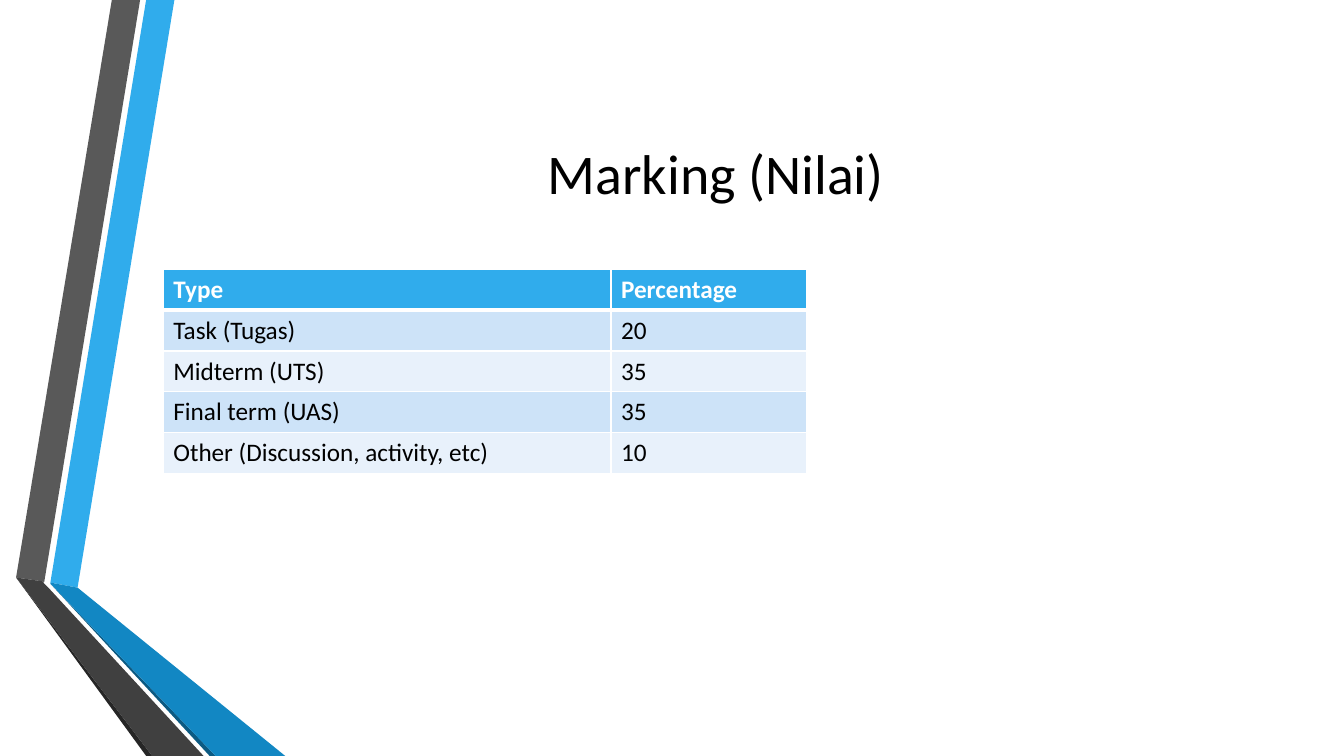
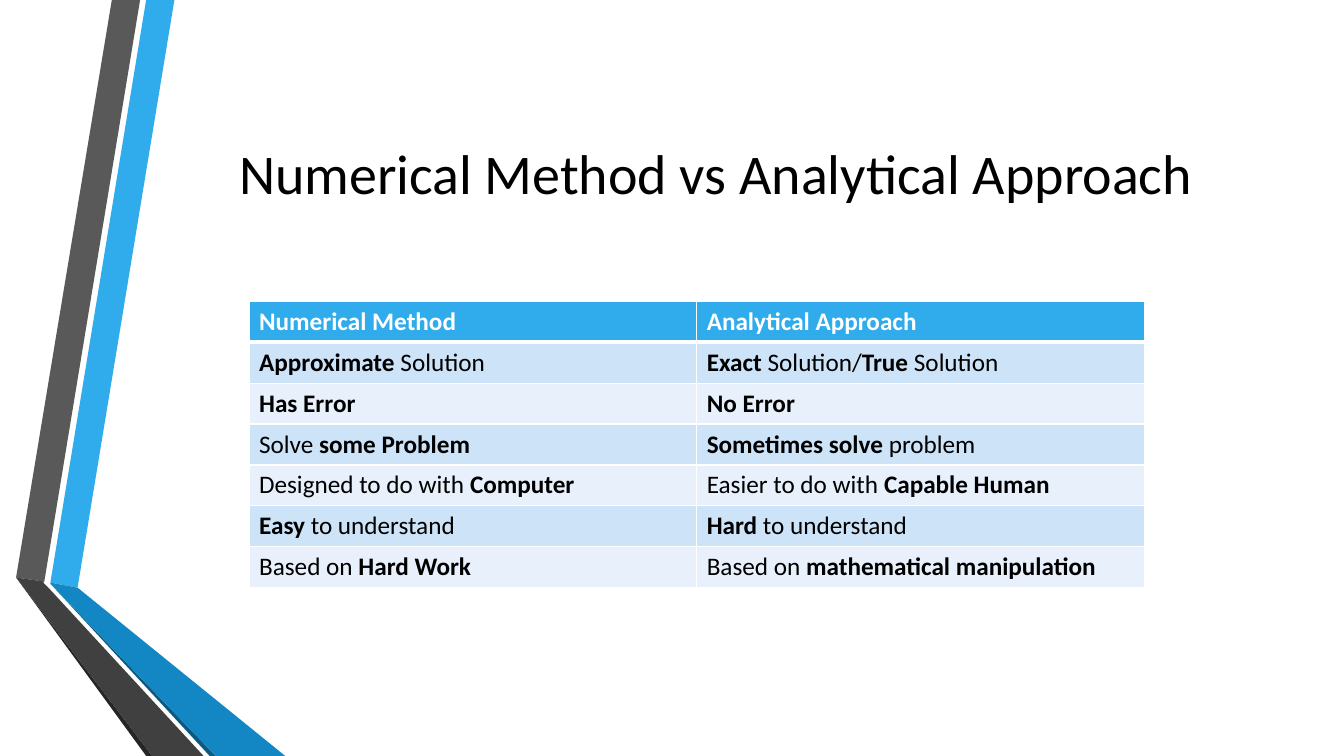
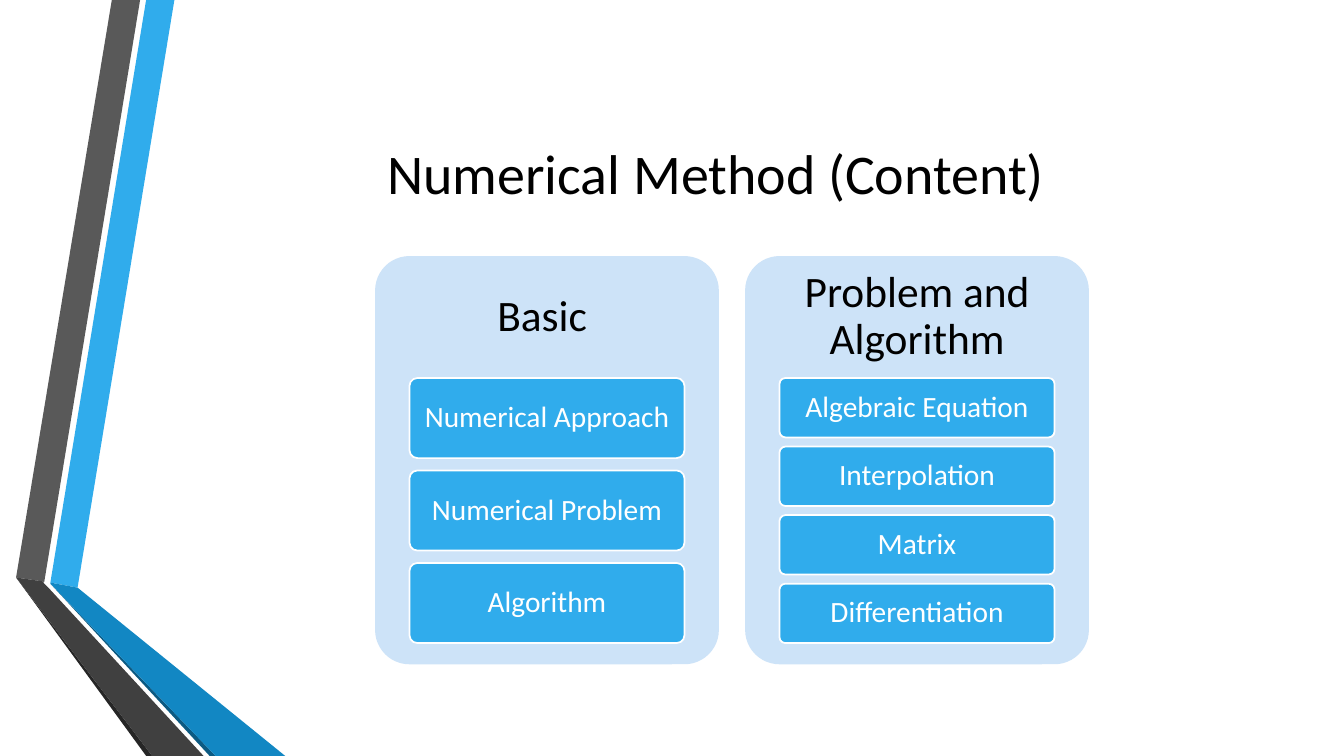
"""Build three slides of a numerical methods course."""
from dataclasses import dataclass
from typing import Any

from lxml.etree import SubElement as Sub
from pptx import Presentation
from pptx.dml.color import RGBColor as Rgb
from pptx.enum.shapes import MSO_SHAPE as Kind
from pptx.enum.text import MSO_ANCHOR as Anchor, PP_ALIGN as Align
from pptx.oxml.ns import qn
from pptx.slide import Slide, SlideLayout as Layout
from pptx.util import Inches, Pt

BLACK, WHITE = "000000", "FFFFFF"
BLUE, PALE, FAINT = "30ACEC", "CDE3F8", "E8F1FB"
FONT = "Calibri"
TITLE = {"left": Inches(1.62), "top": Inches(0.75), "width": Inches(10.96), "height": Inches(1.92)}


@dataclass(frozen=True)
class Ribbon:
    """A flat outline given by its corners in inches."""
    fill: str
    points: tuple[tuple[float, float], ...]


@dataclass(frozen=True)
class Grid:
    """A table whose cells mark bold text with asterisks."""
    left: float
    top: float
    height: float
    widths: tuple[float, ...]
    rows: tuple[tuple[str, ...], ...]


@dataclass(frozen=True)
class Panel:
    """A headed panel with a stack of cards."""
    head: str
    cards: tuple[str, ...]


RIBBONS = (
    Ribbon(BLUE, ((0.5, 5.78), (0.77, 5.83), (1.73, 0), (1.45, 0))),
    Ribbon("595959", ((1.39, 0), (1.11, 0), (0.16, 5.73), (0.44, 5.77))),
    Ribbon("262626", ((0.16, 5.73), (1.45, 7.5), (1.51, 7.5))),
    Ribbon("0C5A82", ((0.5, 5.79), (2.08, 7.5), (2.14, 7.5))),
    Ribbon("1287C3", ((0.5, 5.79), (2.14, 7.5), (2.83, 7.5), (0.77, 5.83), (0.5, 5.78))),
    Ribbon("404040", ((2.02, 7.5), (0.48, 5.83), (0.43, 5.78), (0.44, 5.77), (0.16, 5.73), (1.51, 7.5))),
)

MARKS = Grid(1.62, 2.67, 2.03, (4.44, 1.94), (
    ("*Type*", "*Percentage*"),
    ("Task (Tugas)", "20"),
    ("Midterm (UTS)", "35"),
    ("Final term (UAS)", "35"),
    ("Other (Discussion, activity, etc)", "10"),
))

VERSUS = Grid(2.47, 2.99, 2.84, (4.44, 4.44), (
    ("*Numerical Method*", "*Analytical Approach*"),
    ("*Approximate* Solution", "*Exact *Solution/*True* Solution"),
    ("*Has Error*", "*No Error*"),
    ("Solve *some Problem*", "*Sometimes solve* problem"),
    ("Designed to do with *Computer*", "Easier to do with *Capable Human*"),
    ("*Easy* to understand", "*Hard* to understand"),
    ("Based on *Hard Work*", "Based on *mathematical manipulation*"),
))

PANELS = (
    Panel("Basic ", ("Numerical Approach", "Numerical Problem", "Algorithm")),
    Panel("Problem and Algorithm", ("Algebraic Equation", "Interpolation", "Matrix", "Differentiation")),
)


def color(code: str) -> Rgb:
    """Turn a hex string into a colour."""
    return Rgb.from_string(code)


def apply(item: Any, form: dict[str, Any]) -> None:
    """Set each attribute named in the format."""
    for name, value in form.items():
        setattr(item, name, value)


def paint(item: Any, code: str) -> None:
    """Give a shape or cell a solid fill."""
    item.fill.solid()
    item.fill.fore_color.rgb = color(code)


def write(para: Any, text: str, size: float, code: str) -> None:
    """Add runs to a paragraph, bold between asterisks."""
    for spot, part in enumerate(text.split("*")):
        if part:
            run = para.add_run()
            run.text = part
            apply(run.font, {"name": FONT, "size": Pt(size), "bold": spot % 2 == 1})
            run.font.color.rgb = color(code)


def label(shape: Any, text: str, size: float, code: str, side: float, edge: float) -> None:
    """Centre a text in a shape with the given insets."""
    frame = shape.text_frame
    apply(frame, {
        "word_wrap": True, "vertical_anchor": Anchor.MIDDLE,
        "margin_left": Inches(side), "margin_right": Inches(side),
        "margin_top": Inches(edge), "margin_bottom": Inches(edge),
    })
    para = frame.paragraphs[0]
    apply(para, {"alignment": Align.CENTER, "line_spacing": 0.9})
    write(para, text, size, code)


def add_slide(deck: Any, layout: Layout, text: str) -> Slide:
    """Add a slide with a centred title."""
    slide = deck.slides.add_slide(layout)
    title = slide.shapes.title
    apply(title, TITLE)
    apply(title.text_frame, {"word_wrap": True, "vertical_anchor": Anchor.MIDDLE})
    para = title.text_frame.paragraphs[0]
    para.alignment = Align.CENTER
    write(para, text, 40, BLACK)
    return slide


def add_bands(slide: Slide, layout: Layout) -> None:
    """Draw the ribbons and hand them to the shared layout."""
    for hold in list(layout.placeholders)[1:]:
        layout.shapes.element.remove(hold.element)
    apply(layout.placeholders[0], TITLE)
    for ribbon in RIBBONS:
        spots = [(Inches(x), Inches(y)) for x, y in ribbon.points]
        pen = slide.shapes.build_freeform(*spots[0])
        pen.add_line_segments(spots[1:], close=True)
        shape = pen.convert_to_shape()
        shape.shadow.inherit = False
        paint(shape, ribbon.fill)
        shape.line.fill.background()
        layout.shapes.element.append(shape.element)


def border(cell: Any, sides: dict[str, float]) -> None:
    """Draw white cell borders of the given widths."""
    props = cell._tc.get_or_add_tcPr()
    for side, width in sides.items():
        line = Sub(props, qn(f"a:ln{side}"), w=str(Pt(width)))
        Sub(Sub(line, qn("a:solidFill")), qn("a:srgbClr"), val=WHITE)


def add_grid(slide: Slide, grid: Grid) -> None:
    """Draw a table with a blue head and striped rows."""
    table = slide.shapes.add_table(
        len(grid.rows), len(grid.widths), Inches(grid.left), Inches(grid.top),
        Inches(sum(grid.widths)), Inches(grid.height)).table
    for column, width in zip(table.columns, grid.widths):
        column.width = Inches(width)
    for row, texts in enumerate(grid.rows):
        fill = (FAINT, PALE)[row % 2] if row else BLUE
        for col, text in enumerate(texts):
            cell = table.cell(row, col)
            border(cell, {"L": 1, "R": 1, "T": 3 if row == 1 else 1, "B": 1 if row else 3})
            paint(cell, fill)
            write(cell.text_frame.paragraphs[0], text, 18, BLACK if row else WHITE)


def add_box(slide: Slide, left: float, top: float, width: float, height: float, fill: str) -> Any:
    """Draw a rounded box without an outline."""
    box = slide.shapes.add_shape(
        Kind.ROUNDED_RECTANGLE, Inches(left), Inches(top), Inches(width), Inches(height))
    box.adjustments[0] = 0.1
    box.shadow.inherit = False
    paint(box, fill)
    box.line.fill.background()
    return box


def add_panel(slide: Slide, panel: Panel, left: float) -> None:
    """Draw a panel and share its height among the cards."""
    top, width, head, stack, ratio = 2.54, 3.41, 1.21, 2.63, 2 / 13
    add_box(slide, left, top, width, 4.05, PALE)
    text = slide.shapes.add_textbox(Inches(left), Inches(top), Inches(width), Inches(head))
    label(text, panel.head, 31, BLACK, 0.13, 0.13)
    count = len(panel.cards)
    height = stack / (count + (count - 1) * ratio)
    for spot, name in enumerate(panel.cards):
        y = top + head + spot * height * (1 + ratio)
        card = add_box(slide, left + width / 10, y, width * 0.8, height, BLUE)
        card.line.color.rgb = color(WHITE)
        card.line.width = Pt(1.25)
        label(card, name, 21, WHITE, 0.06, 0.04)


def main() -> None:
    """Build and save the deck."""
    deck = Presentation()
    apply(deck, {"slide_width": Inches(13.33), "slide_height": Inches(7.5)})
    layout = deck.slide_layouts[5]
    marks = add_slide(deck, layout, "Marking (Nilai)")
    add_bands(marks, layout)
    add_grid(marks, MARKS)
    add_grid(add_slide(deck, layout, "Numerical Method vs Analytical Approach"), VERSUS)
    topics = add_slide(deck, layout, "Numerical Method (Content)")
    for spot, panel in enumerate(PANELS):
        add_panel(topics, panel, 3.72 + spot * 3.67)
    deck.save("out.pptx")


if __name__ == "__main__":
    main()
